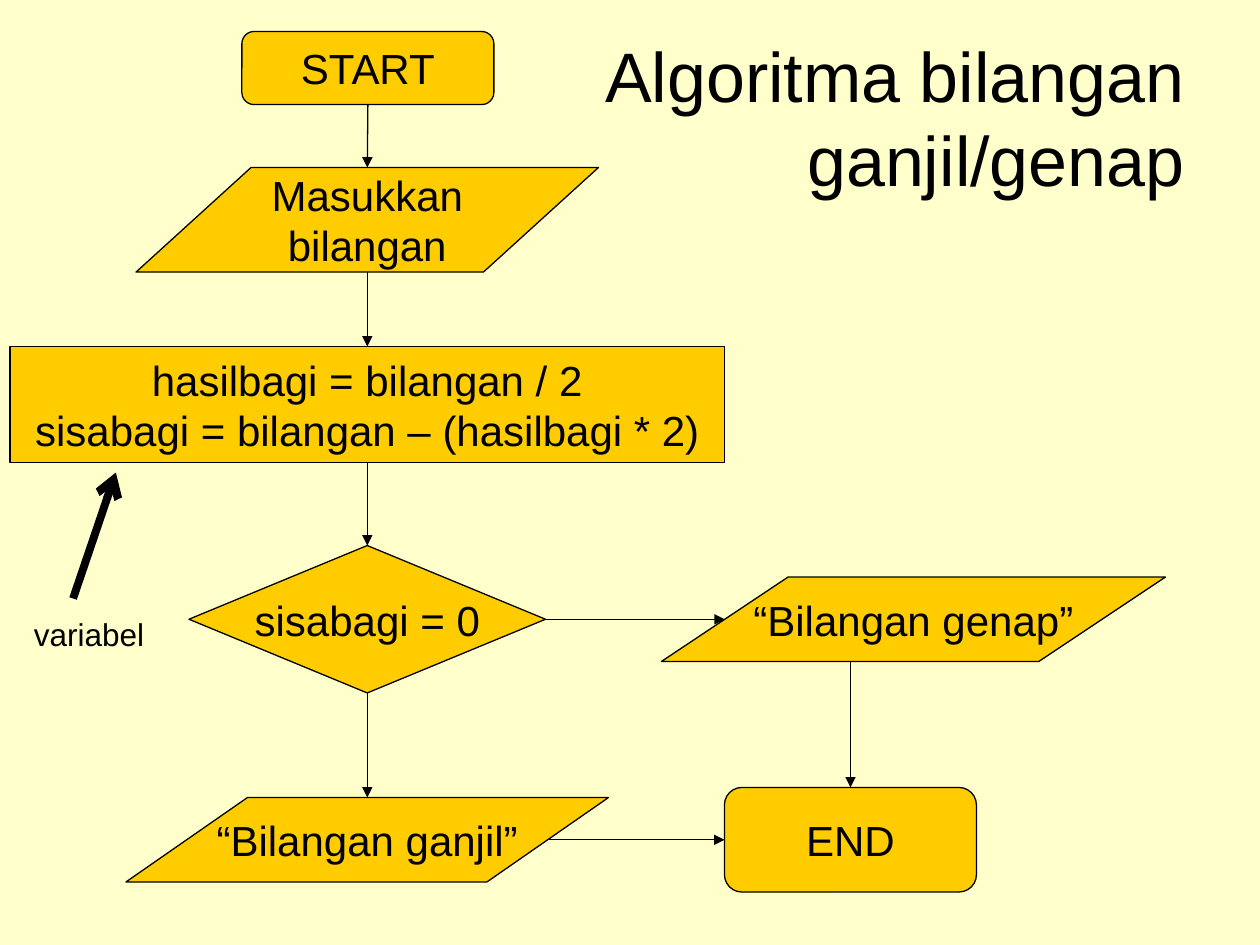
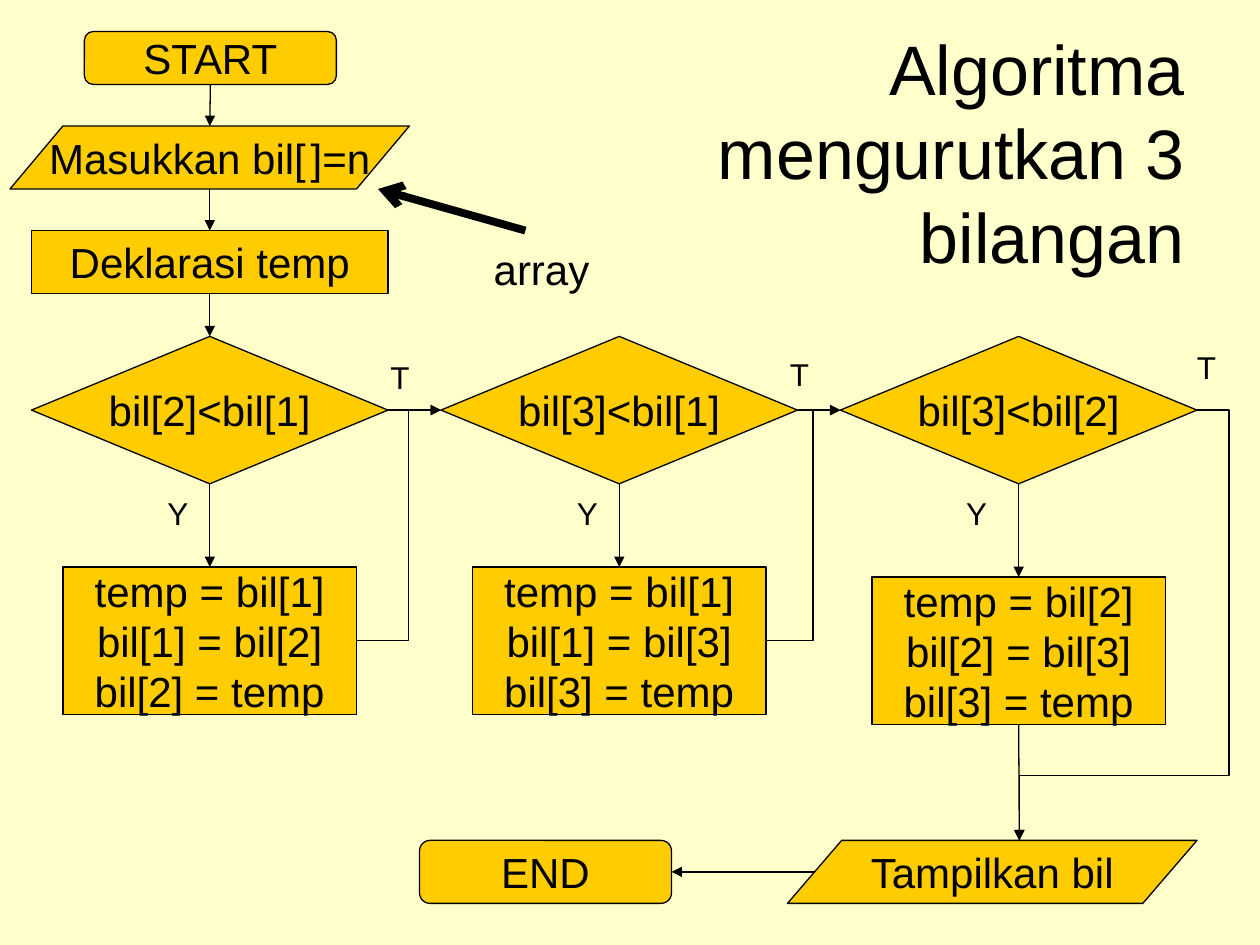
from dataclasses import dataclass
from enum import IntEnum
from typing import NamedTuple, Optional, Union

from lxml.etree import SubElement
from pptx import Presentation
from pptx.dml.color import RGBColor
from pptx.enum.shapes import MSO_CONNECTOR as Link, MSO_SHAPE as Shape
from pptx.enum.text import MSO_ANCHOR as Anchor, MSO_AUTO_SIZE as AutoSize, PP_ALIGN as Align
from pptx.oxml.ns import qn
from pptx.util import Inches, Pt

PAPER, GOLD, INK = "FFFFCC", "FFCC00", "000000"
FONT = "Arial"
TITLE_ONLY = 5
TERMINAL, DATA = Shape.ROUNDED_RECTANGLE, Shape.PARALLELOGRAM
PROCESS, DECISION = Shape.RECTANGLE, Shape.DIAMOND


class Side(IntEnum):
    TOP = 0
    LEFT = 1
    BOTTOM = 2
    RIGHT = 3


class Point(NamedTuple):
    x: float
    y: float


@dataclass
class Node:
    """A flowchart symbol; slant is the parallelogram's offset over its height."""
    kind: Shape
    left: float
    top: float
    width: float
    height: float
    text: str
    slant: float = 0
    drawn: Optional[object] = None

    def at(self, side: Side) -> Point:
        inset = self.slant * self.height / 2
        middle_x = self.left + self.width / 2
        middle_y = self.top + self.height / 2
        return {
            Side.TOP: Point(middle_x, self.top),
            Side.LEFT: Point(self.left + inset, middle_y),
            Side.BOTTOM: Point(middle_x, self.top + self.height),
            Side.RIGHT: Point(self.left + self.width - inset, middle_y),
        }[side]


class Joint(NamedTuple):
    node: Node
    side: Side


End = Union[Point, Joint]


@dataclass
class Stage:
    """One comparison, the swap below it and its Y and T labels."""
    left: float
    test: str
    swap: str
    swap_top: float
    yes_left: float
    no_at: Point


def color(value: str) -> RGBColor:
    return RGBColor.from_string(value)


def add_text(paragraph, text: str, *, size: float = 24) -> None:
    """Add runs to a paragraph; a vertical tab marks a line break."""
    for index, part in enumerate(text.split("\v")):
        if index:
            paragraph.add_line_break()
        run = paragraph.add_run()
        run.text = part
        run.font.name = FONT
        run.font.size = Pt(size)
        run.font.color.rgb = color(INK)


def write(frame, text: str, *, size: float = 24, align=Align.CENTER,
          anchor=Anchor.MIDDLE, wrap: bool = False, fit=AutoSize.NONE) -> None:
    frame.word_wrap = wrap
    frame.auto_size = fit
    frame.vertical_anchor = anchor
    for index, line in enumerate(text.split("\n")):
        paragraph = frame.add_paragraph() if index else frame.paragraphs[0]
        paragraph.alignment = align
        add_text(paragraph, line, size=size)


def new_slide(deck, title: str, left: float, top: float, width: float):
    slide = deck.slides.add_slide(deck.slide_layouts[TITLE_ONLY])
    heading = slide.shapes.title
    heading.left, heading.top = Inches(left), Inches(top)
    heading.width, heading.height = Inches(width), Inches(1.25)
    write(heading.text_frame, title, size=40, align=Align.RIGHT, wrap=True)
    return slide


def draw_node(slide, node: Node) -> Node:
    shape = slide.shapes.add_shape(node.kind, Inches(node.left), Inches(node.top),
                                   Inches(node.width), Inches(node.height))
    shape.shadow.inherit = False
    shape.fill.solid()
    shape.fill.fore_color.rgb = color(GOLD)
    shape.line.color.rgb = color(INK)
    shape.line.width = Pt(0.75)
    if node.slant:
        shape.adjustments[0] = node.slant
    write(shape.text_frame, node.text)
    node.drawn = shape
    return node


def label(slide, text: str, at: Point, width: float, height: float = 0.4,
          size: float = 18) -> None:
    box = slide.shapes.add_textbox(Inches(at.x), Inches(at.y), Inches(width), Inches(height))
    write(box.text_frame, text, size=size, align=Align.LEFT, anchor=Anchor.TOP,
          fit=AutoSize.SHAPE_TO_FIT_TEXT)


def arrow(slide, start: End, end: End, *, weight: float = 0.75,
          head: str = "triangle", link=Link.STRAIGHT):
    begin, finish = (e.node.at(e.side) if isinstance(e, Joint) else e for e in (start, end))
    connector = slide.shapes.add_connector(link, Inches(begin.x), Inches(begin.y),
                                           Inches(finish.x), Inches(finish.y))
    if link == Link.STRAIGHT:
        for joint, connect in ((start, connector.begin_connect), (end, connector.end_connect)):
            if isinstance(joint, Joint) and joint.node.kind != DATA:
                connect(joint.node.drawn, int(joint.side))
    connector.line.color.rgb = color(INK)
    connector.line.width = Pt(weight)
    properties = connector._element.spPr
    SubElement(properties.find(qn("a:ln")), qn("a:tailEnd"), type=head)
    SubElement(properties, qn("a:effectLst"))
    return connector


def elbow(slide, start: End, end: End, *bends: float) -> None:
    """Draw a bent arrow; bends are shares of its width and height."""
    connector = arrow(slide, start, end, link=Link.ELBOW)
    geometry = connector._element.spPr.find(qn("a:prstGeom"))
    geometry.set("prst", f"bentConnector{len(bends) + 2}")
    guides = geometry.find(qn("a:avLst"))
    if guides is None:
        guides = SubElement(geometry, qn("a:avLst"))
    for number, bend in enumerate(bends, 1):
        SubElement(guides, qn("a:gd"), name=f"adj{number}", fmla=f"val {round(bend * 100000)}")


def chain(slide, *nodes: Node) -> None:
    """Join each symbol to the one below it."""
    for upper, lower in zip(nodes, nodes[1:]):
        arrow(slide, Joint(upper, Side.BOTTOM), Joint(lower, Side.TOP))


def odd_even_slide(deck) -> None:
    slide = new_slide(deck, "Algoritma bilangan\vganjil/genap", 4.5, 0.3, 5)
    start, entry, division, test, even, odd, finish = (draw_node(slide, node) for node in (
        Node(TERMINAL, 1.92, 0.25, 2, 0.58, "START"),
        Node(DATA, 1.08, 1.33, 3.67, 0.83, "Masukkan\nbilangan", 1.1),
        Node(PROCESS, 0.08, 2.75, 5.67, 0.92,
             "hasilbagi = bilangan / 2\nsisabagi = bilangan – (hasilbagi * 2)"),
        Node(DECISION, 1.5, 4.33, 2.83, 1.17, "sisabagi = 0"),
        Node(DATA, 5.25, 4.58, 4, 0.67, "“Bilangan genap”", 1.5),
        Node(DATA, 1, 6.33, 3.83, 0.67, "“Bilangan ganjil”", 1.44),
        Node(TERMINAL, 5.75, 6.25, 2, 0.83, "END"),
    ))
    chain(slide, start, entry, division, test, odd)
    arrow(slide, Joint(test, Side.RIGHT), Joint(even, Side.LEFT))
    arrow(slide, Point(6.75, 5.25), Joint(finish, Side.TOP))
    arrow(slide, Joint(odd, Side.RIGHT), Joint(finish, Side.LEFT))
    arrow(slide, Point(0.58, 4.75), Point(0.92, 3.75), weight=4.5, head="arrow")
    label(slide, "variabel", Point(0.17, 4.83), 1.12)


def draw_stage(slide, stage: Stage) -> tuple[Node, Node]:
    test = draw_node(slide, Node(DECISION, stage.left, 2.67, 2.83, 1.17, stage.test))
    swap = draw_node(slide, Node(PROCESS, stage.left + 0.25, stage.swap_top, 2.33, 1.17,
                                 stage.swap))
    chain(slide, test, swap)
    label(slide, "Y", Point(stage.yes_left, 3.87), 0.36)
    label(slide, "T", stage.no_at, 0.35)
    return test, swap


def sorting_slide(deck) -> None:
    slide = new_slide(deck, "Algoritma mengurutkan 3 bilangan", 5.5, 0.58, 4)
    start, entry, declaration, finish, output = (draw_node(slide, node) for node in (
        Node(TERMINAL, 0.67, 0.25, 2, 0.42, "START"),
        Node(DATA, 0.08, 1, 3.17, 0.5, "Masukkan bil[", 0.84),
        Node(PROCESS, 0.25, 1.83, 2.83, 0.5, "Deklarasi temp"),
        Node(TERMINAL, 3.33, 6.67, 2, 0.5, "END"),
        Node(DATA, 6.25, 6.67, 3.25, 0.5, "Tampilkan bil", 0.86),
    ))
    entry_line = entry.drawn.text_frame.paragraphs[0]
    add_text(entry_line, " ", size=10)
    add_text(entry_line, "]=n")

    stages = (
        Stage(0.25, "bil[2]<bil[1]", "temp = bil[1]\nbil[1] = bil[2]\nbil[2] = temp",
              4.5, 1.23, Point(3, 2.79)),
        Stage(3.5, "bil[3]<bil[1]", "temp = bil[1]\nbil[1] = bil[3]\nbil[3] = temp",
              4.5, 4.48, Point(6.17, 2.77)),
        Stage(6.67, "bil[3]<bil[2]", "temp = bil[2]\nbil[2] = bil[3]\nbil[3] = temp",
              4.58, 7.57, Point(9.4, 2.71)),
    )
    drawn = [draw_stage(slide, stage) for stage in stages]
    chain(slide, start, entry, declaration, drawn[0][0])
    for (test, swap), (next_test, _), bend in zip(drawn, drawn[1:], (0.62, 0.63)):
        arrow(slide, Joint(test, Side.RIGHT), Joint(next_test, Side.LEFT))
        elbow(slide, Joint(swap, Side.RIGHT), Joint(next_test, Side.LEFT), bend)

    last_test, last_swap = drawn[-1]
    output_top = Point(8.09, output.top)
    elbow(slide, Joint(last_test, Side.RIGHT), output_top, -0.18, 0.85)
    arrow(slide, Joint(last_swap, Side.BOTTOM), output_top)
    arrow(slide, Joint(output, Side.LEFT), Joint(finish, Side.RIGHT))
    arrow(slide, Point(4.17, 1.83), Point(3, 1.5), weight=4.5, head="arrow")
    label(slide, "array", Point(3.82, 1.88), 0.96, 0.5, 24)


def main() -> None:
    deck = Presentation()
    deck.slide_width, deck.slide_height = Inches(10), Inches(7.5)
    backdrop = deck.slide_master.background.fill
    backdrop.solid()
    backdrop.fore_color.rgb = color(PAPER)
    odd_even_slide(deck)
    sorting_slide(deck)
    deck.save("out.pptx")


if __name__ == "__main__":
    main()
